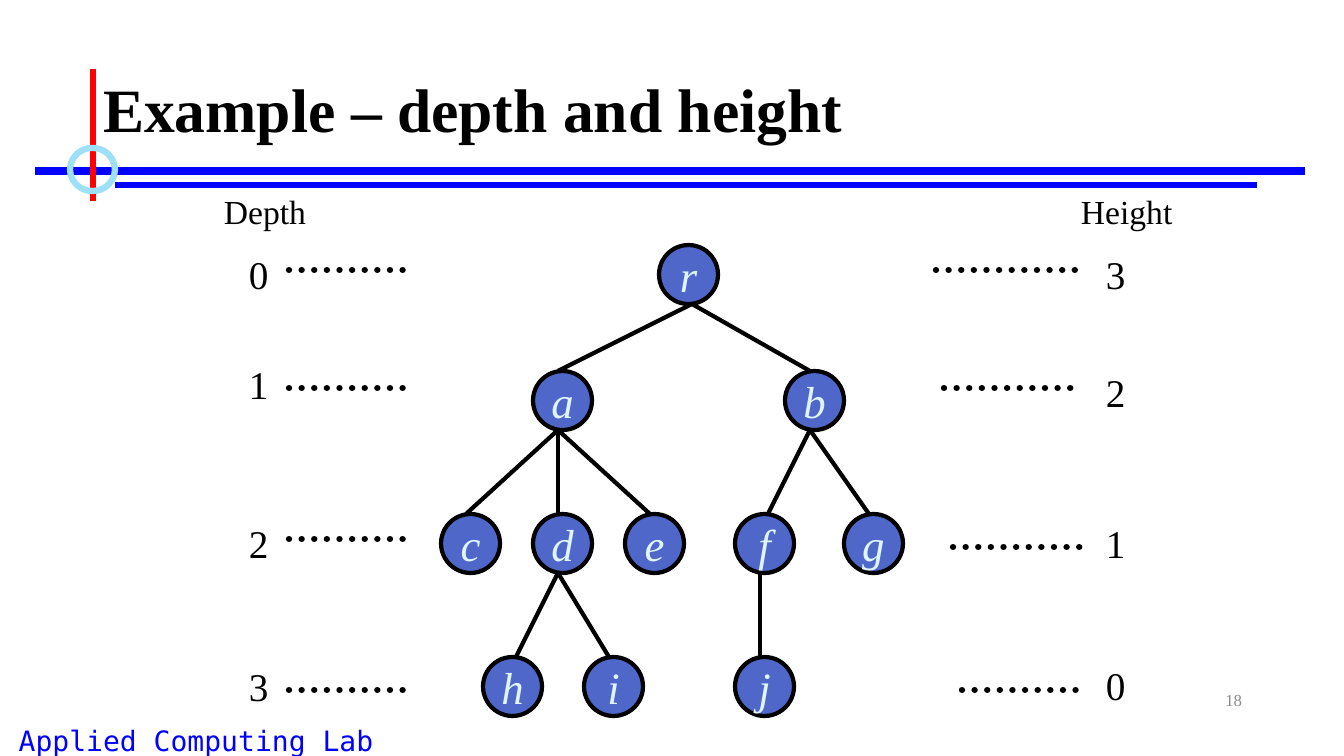
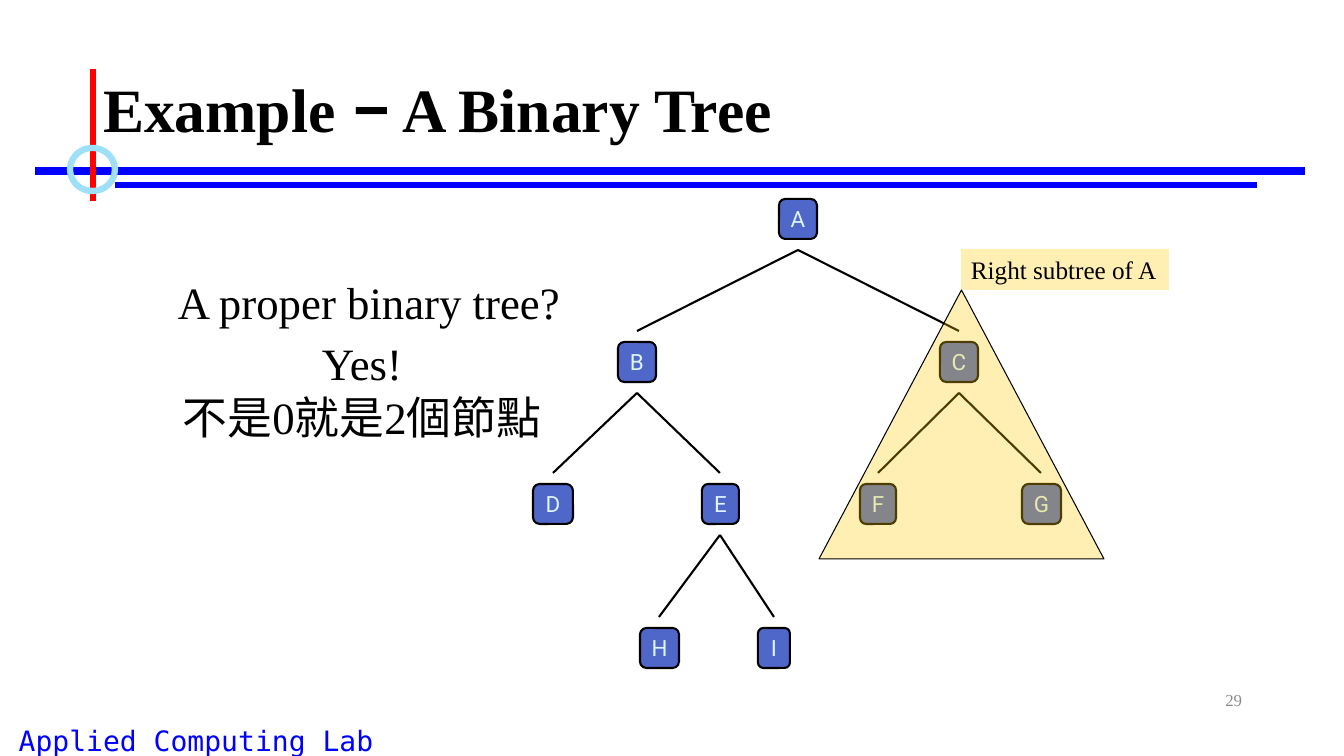
from dataclasses import dataclass
from typing import Any, Optional

import pptx
import pptx.dml.color
import pptx.enum.dml
import pptx.enum.shapes
import pptx.enum.text
import pptx.oxml
import pptx.oxml.ns
import pptx.util

EMU_PER_PIXEL = 914400 / 100.8
SERIF, SANS, MONO = "Times New Roman", "Roboto", "DejaVu Sans Mono"
BLACK, BLUE, RED, RING = "000000", "0000FF", "FF0000", "9EE0F8"
NODE_FILL, NODE_TEXT, HIGHLIGHT, NUMBER_GREY = "4E67C8", "DFF5FD", "FFCC00", "8C8C8C"
SHAPE = pptx.enum.shapes.MSO_SHAPE
ALIGN = pptx.enum.text.PP_ALIGN
ANCHOR = pptx.enum.text.MSO_ANCHOR
qn = pptx.oxml.ns.qn


@dataclass(frozen=True)
class Font:
    name: str
    size: int
    color: str = BLACK
    bold: bool = False
    italic: bool = False


@dataclass(frozen=True)
class Node:
    label: str
    center: int
    row: int
    parent: str = ""
    width: int = 59
    entry: int = 0
    exit: int = 0


@dataclass(frozen=True)
class TreeStyle:
    outline: Any
    rows: tuple[int, ...]
    height: int
    gap: int
    weight: float
    font: Font


@dataclass(frozen=True)
class Level:
    label: str
    label_x: int
    label_y: int
    dots_from: int
    dots_to: int
    dots_y: int


TITLE_FONT = Font(SERIF, 44, bold=True)
TITLE_DASH_FONT = Font(SANS, 44, bold=True)
BODY_FONT = Font(SERIF, 32)

DEPTH_STYLE = TreeStyle(SHAPE.OVAL, (245, 371, 514, 657), 59, 0, 3,
                        Font(SERIF, 32, NODE_TEXT, italic=True))
DEPTH_TREE = (
    Node("r", 688, 0, exit=4),
    Node("a", 562, 1, "r", entry=-4, exit=-4),
    Node("b", 814, 1, "r", entry=-4, exit=-4),
    Node("c", 470, 2, "a", entry=-4),
    Node("d", 562, 2, "a", entry=-4, exit=-4),
    Node("e", 654, 2, "a", entry=-4),
    Node("f", 764, 2, "b", entry=4, exit=-4),
    Node("g", 873, 2, "b", entry=-4),
    Node("h", 512, 3, "d", entry=4),
    Node("i", 613, 3, "d", entry=-4),
    Node("j", 764, 3, "f", entry=-4),
)
LEVELS = (
    Level("0", 239, 245, 289, 407, 270),
    Level("1", 239, 355, 289, 407, 388),
    Level("2", 239, 514, 289, 407, 539),
    Level("3", 239, 657, 289, 407, 690),
    Level("3", 1096, 245, 936, 1080, 270),
    Level("2", 1096, 363, 944, 1080, 388),
    Level("1", 1096, 514, 953, 1088, 547),
    Level("0", 1096, 656, 962, 1080, 690),
)

BINARY_STYLE = TreeStyle(SHAPE.ROUNDED_RECTANGLE, (199, 342, 484, 628), 40, 11, 1.5,
                         Font(SANS, 16, NODE_TEXT))
BINARY_TREE = (
    Node("A", 798, 0, width=38),
    Node("B", 637, 1, "A", 38),
    Node("C", 959, 1, "A", 38),
    Node("D", 553, 2, "B", 40),
    Node("E", 720, 2, "B", 37),
    Node("F", 878, 2, "C", 36),
    Node("G", 1041, 2, "C", 39),
    Node("H", 659, 3, "E", 39),
    Node("I", 774, 3, "E", 32),
)


def px(pixels: float) -> int:
    return pptx.util.Emu(round(pixels * EMU_PER_PIXEL))


def rgb(color: str) -> pptx.dml.color.RGBColor:
    return pptx.dml.color.RGBColor.from_string(color)


def add_run(paragraph: Any, text: str, font: Font) -> None:
    run = paragraph.add_run()
    run.text = text
    run.font.name = font.name
    run.font.size = pptx.util.Pt(font.size)
    run.font.bold = font.bold
    run.font.italic = font.italic
    run.font.color.rgb = rgb(font.color)


def write(frame: Any, lines: tuple[str, ...], font: Font, align: Any = ALIGN.LEFT,
          anchor: Any = ANCHOR.TOP, wrap: bool = False) -> None:
    frame.word_wrap = wrap
    frame.vertical_anchor = anchor
    for index, line in enumerate(lines):
        paragraph = frame.add_paragraph() if index else frame.paragraphs[0]
        paragraph.alignment = align
        add_run(paragraph, line, font)


def add_text(canvas: Any, box: tuple[int, int, int, int], lines: tuple[str, ...], font: Font,
             align: Any = ALIGN.LEFT, anchor: Any = ANCHOR.TOP, wrap: bool = False) -> Any:
    label = canvas.add_textbox(*map(px, box))
    write(label.text_frame, lines, font, align, anchor, wrap)
    return label


def add_line(canvas: Any, start: tuple[int, int], end: tuple[int, int],
             color: str, weight: float, dotted: bool = False) -> Any:
    line = canvas.add_connector(pptx.enum.shapes.MSO_CONNECTOR.STRAIGHT,
                                *map(px, start + end))
    line.line.color.rgb = rgb(color)
    line.line.width = pptx.util.Pt(weight)
    properties = line.element.find(qn("p:spPr"))
    if dotted:
        line.line.dash_style = pptx.enum.dml.MSO_LINE.ROUND_DOT
        properties.find(qn("a:ln")).set("cap", "rnd")
    properties.append(pptx.oxml.parse_xml(
        f'<a:effectLst {pptx.oxml.ns.nsdecls("a")}/>'))
    return line


def add_figure(canvas: Any, outline: Any, box: tuple[int, int, int, int],
               fill: Optional[str], border: Optional[str], weight: float = 0,
               opacity: int = 100) -> Any:
    figure = canvas.add_shape(outline, *map(px, box))
    figure.shadow.inherit = False
    if fill:
        figure.fill.solid()
        figure.fill.fore_color.rgb = rgb(fill)
        if opacity < 100:
            tint = figure.element.find(".//" + qn("a:srgbClr"))
            tint.append(pptx.oxml.parse_xml(
                f'<a:alpha {pptx.oxml.ns.nsdecls("a")} val="{opacity * 1000}"/>'))
    else:
        figure.fill.background()
    if border:
        figure.line.color.rgb = rgb(border)
        figure.line.width = pptx.util.Pt(weight)
    else:
        figure.line.fill.background()
    return figure


def build_layout(layout: Any, slide: Any) -> None:
    for placeholder in list(layout.placeholders):
        if placeholder.placeholder_format.idx >= 10:
            placeholder.element.getparent().remove(placeholder.element)
    canvas = slide.shapes
    decorations = (
        add_text(canvas, (-58, 719, 508, 43), ("Applied Computing Lab",),
                 Font(MONO, 20, BLUE), ALIGN.CENTER, wrap=True),
        add_line(canvas, (35, 171), (1305, 171), BLUE, 6),
        add_line(canvas, (115, 185), (1257, 185), BLUE, 4.5),
        add_line(canvas, (93, 69), (93, 201), RED, 4.5),
        add_figure(canvas, SHAPE.OVAL, (70, 148, 45, 43), None, RING, 4.5),
    )
    for decoration in decorations:
        layout.shapes.element.append(decoration.element)


def fill_heading(slide: Any, runs: tuple[tuple[str, Font], ...], number: str) -> None:
    title = slide.shapes.title
    title.left, title.top, title.width, title.height = map(px, (93, 40, 1159, 146))
    frame = title.text_frame
    frame.auto_size = pptx.enum.text.MSO_AUTO_SIZE.NONE
    frame.vertical_anchor = ANCHOR.MIDDLE
    paragraph = frame.paragraphs[0]
    paragraph.alignment = ALIGN.LEFT
    paragraph.line_spacing = 0.9
    for text, font in runs:
        add_run(paragraph, text, font)
    add_text(slide.shapes, (950, 680, 302, 40), (number,), Font(SERIF, 12, NUMBER_GREY),
             ALIGN.RIGHT, ANCHOR.MIDDLE, wrap=True)


def draw_tree(slide: Any, nodes: tuple[Node, ...], style: TreeStyle) -> None:
    canvas = slide.shapes.add_group_shape().shapes
    by_label = {node.label: node for node in nodes}
    for node in nodes:
        box = (node.center - node.width // 2, style.rows[node.row], node.width, style.height)
        figure = add_figure(canvas, style.outline, box, NODE_FILL, BLACK, style.weight)
        write(figure.text_frame, (node.label,), style.font, ALIGN.CENTER, ANCHOR.MIDDLE)
    for node in nodes:
        if node.parent:
            parent = by_label[node.parent]
            foot = style.rows[parent.row] + style.height + style.gap
            add_line(canvas, (parent.center + parent.exit, foot),
                     (node.center + node.entry, style.rows[node.row] - style.gap),
                     BLACK, style.weight)


def draw_depth_slide(slide: Any) -> None:
    fill_heading(slide, (("Example – depth and height", TITLE_FONT),), "18")
    draw_tree(slide, DEPTH_TREE, DEPTH_STYLE)
    for heading, left, width in (("Depth", 214, 103), ("Height", 1071, 113)):
        add_text(slide.shapes, (left, 186, width, 50), (heading,), Font(SERIF, 24))
    for level in LEVELS:
        add_text(slide.shapes, (level.label_x, level.label_y, 40, 57), (level.label,),
                 Font(SERIF, 28))
        add_line(slide.shapes, (level.dots_from, level.dots_y),
                 (level.dots_to, level.dots_y), BLACK, 4.5, dotted=True)


def draw_binary_slide(slide: Any) -> None:
    fill_heading(slide, (("Example ", TITLE_FONT), ("–", TITLE_DASH_FONT),
                         (" A Binary Tree", TITLE_FONT)), "29")
    draw_tree(slide, BINARY_TREE, BINARY_STYLE)
    subtree = slide.shapes.add_group_shape().shapes
    add_figure(subtree, SHAPE.ISOSCELES_TRIANGLE, (819, 290, 285, 269),
               HIGHLIGHT, BLACK, 0.75, opacity=30)
    caption = add_figure(subtree, SHAPE.RECTANGLE, (961, 249, 208, 41),
                         HIGHLIGHT, None, opacity=30)
    write(caption.text_frame, ("Right subtree of A",), Font(SERIF, 18))
    add_text(slide.shapes, (168, 270, 406, 65), ("A proper binary tree?",), BODY_FONT)
    add_text(slide.shapes, (171, 331, 382, 119), ("Yes!", "不是0就是2個節點"),
             BODY_FONT, ALIGN.CENTER, wrap=True)


def main() -> None:
    deck = pptx.Presentation()
    deck.slide_width, deck.slide_height = px(1344), px(756)
    title_only = deck.slide_layouts[5]
    depth_slide, binary_slide = (deck.slides.add_slide(title_only) for _ in range(2))
    build_layout(title_only, depth_slide)
    draw_depth_slide(depth_slide)
    draw_binary_slide(binary_slide)
    deck.save("out.pptx")


main()
